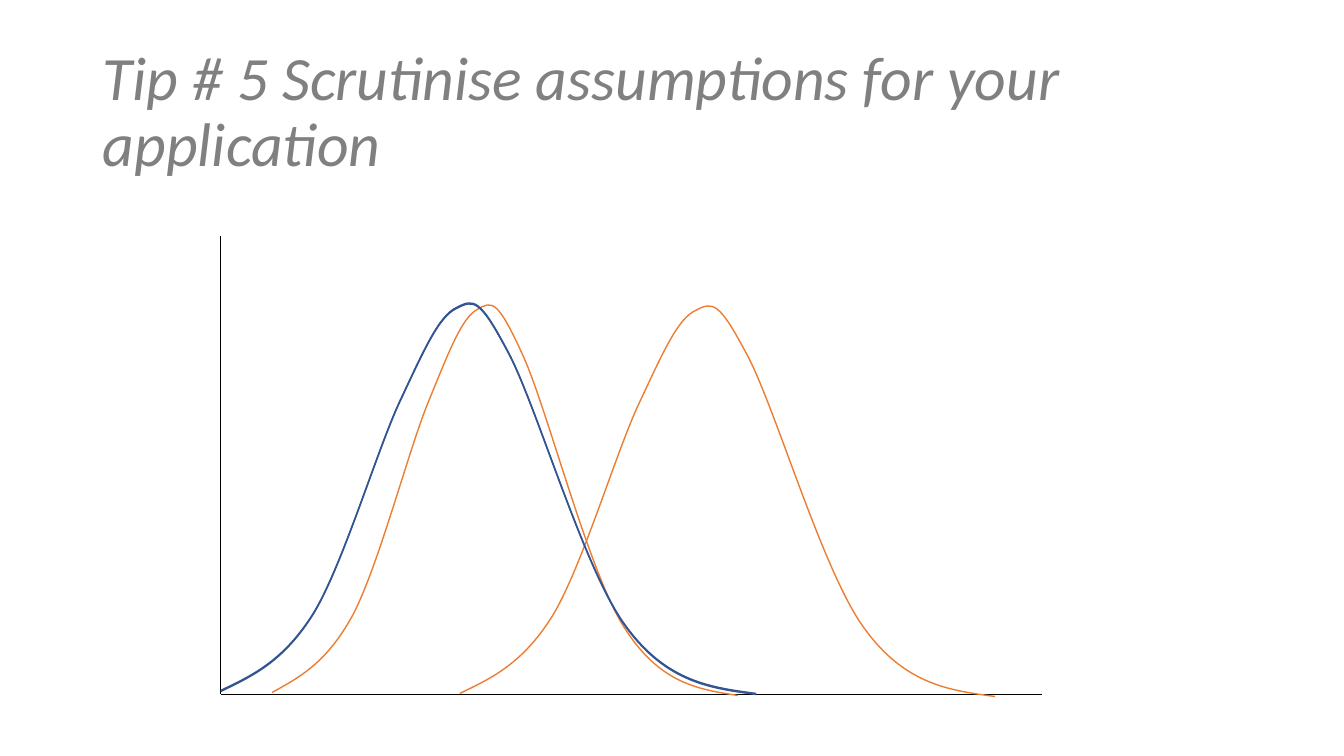
import pptx
import pptx.dml.color
import pptx.enum.shapes
import pptx.enum.text
import pptx.oxml.ns
import pptx.util
from lxml import etree

Inches = pptx.util.Inches
qn = pptx.oxml.ns.qn


def color(hex_code):
    return pptx.dml.color.RGBColor.from_string(hex_code)


def write_text(shape, text, font="Calibri", size=44, hex_code="808080", italic=True):
    shape.text_frame.word_wrap = True
    shape.text_frame.vertical_anchor = pptx.enum.text.MSO_ANCHOR.MIDDLE
    paragraph = shape.text_frame.paragraphs[0]
    paragraph.line_spacing = 0.9
    paragraph.alignment = pptx.enum.text.PP_ALIGN.LEFT
    run = paragraph.add_run()
    run.text = text
    run.font.name = font
    run.font.size = pptx.util.Pt(size)
    run.font.italic = italic
    run.font.color.rgb = color(hex_code)


presentation = pptx.Presentation()
presentation.slide_width = Inches(13.33)
presentation.slide_height = Inches(7.5)
slide = presentation.slides.add_slide(presentation.slide_layouts[5])

# Title
title = slide.shapes.title
title.left, title.top = Inches(0.92), Inches(0.4)
title.width, title.height = Inches(11.5), Inches(1.45)
write_text(title, "Tip # 5 Scrutinise assumptions for your application")

# Axes, meeting at the origin
origin_x, origin_y = 2.19, 6.89
for end_x, end_y in [(origin_x, 2.34), (10.33, origin_y)]:
    axis = slide.shapes.add_connector(
        pptx.enum.shapes.MSO_CONNECTOR.STRAIGHT,
        Inches(end_x), Inches(end_y), Inches(origin_x), Inches(origin_y))
    axis.line.color.rgb = color("000000")
    axis.line.width = pptx.util.Pt(0.5)
    etree.SubElement(axis._element.spPr, qn("a:effectLst"))

# Bell curve: x from its left end, y on the slide; each Bezier segment has
# two control points and an end point
bell_start, bell_peak, bell_end = (0, 6.88), (2.53, 3.04), (5.31, 6.91)
bell_segments = [
    [(0.31, 6.73), (0.62, 6.59), (0.92, 6.11)],
    [(1.21, 5.63), (1.54, 4.52), (1.77, 4.02)],
    [(2.01, 3.51), (2.16, 3.16), (2.34, 3.08)],
    [(2.51, 2.99), (2.57, 2.99), (2.85, 3.52)],
    [(3.13, 4.04), (3.6, 5.67), (4.01, 6.23)],
    [(4.42, 6.8), (4.87, 6.85), bell_end],
]

# Distributions: left end, width factor, vertical shift, colour
distributions = [
    (4.56, 1, 0, "ED7D31"),
    (2.7, 0.87, -0.01, "ED7D31"),
    (origin_x, 1, -0.02, "325491"),
    (origin_x, 1, -0.03, "325491"),
]
for left, stretch, shift, hex_code in distributions:
    # Start, peak and end fix the frame of the curve
    start, peak, end = [(Inches(left + stretch * x), Inches(y + shift))
                        for x, y in (bell_start, bell_peak, bell_end)]
    builder = slide.shapes.build_freeform(*start)
    builder.add_line_segments([peak, end], close=False)
    curve = builder.convert_to_shape()
    curve.shadow.inherit = False
    curve.fill.background()
    curve.line.color.rgb = color(hex_code)
    curve.line.width = pptx.util.Pt(1)

    # Swap the straight segments for Bezier segments
    outline = next(curve._element.iter(qn("a:path")))
    for straight in outline.findall(qn("a:lnTo")):
        outline.remove(straight)
    for segment in bell_segments:
        bezier = etree.SubElement(outline, qn("a:cubicBezTo"))
        for x, y in segment:
            point = etree.SubElement(bezier, qn("a:pt"))
            point.set("x", str(Inches(left + stretch * x) - curve.left))
            point.set("y", str(Inches(y + shift) - curve.top))

presentation.save("out.pptx")
